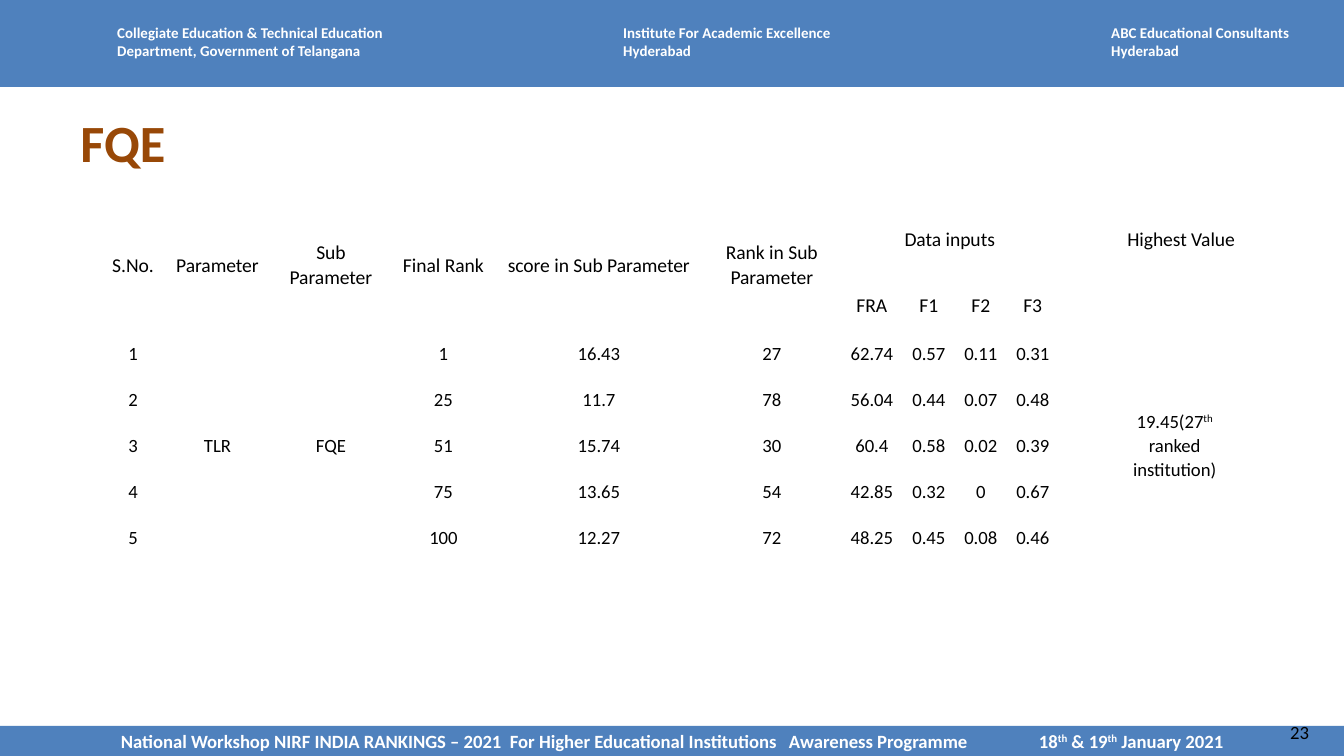
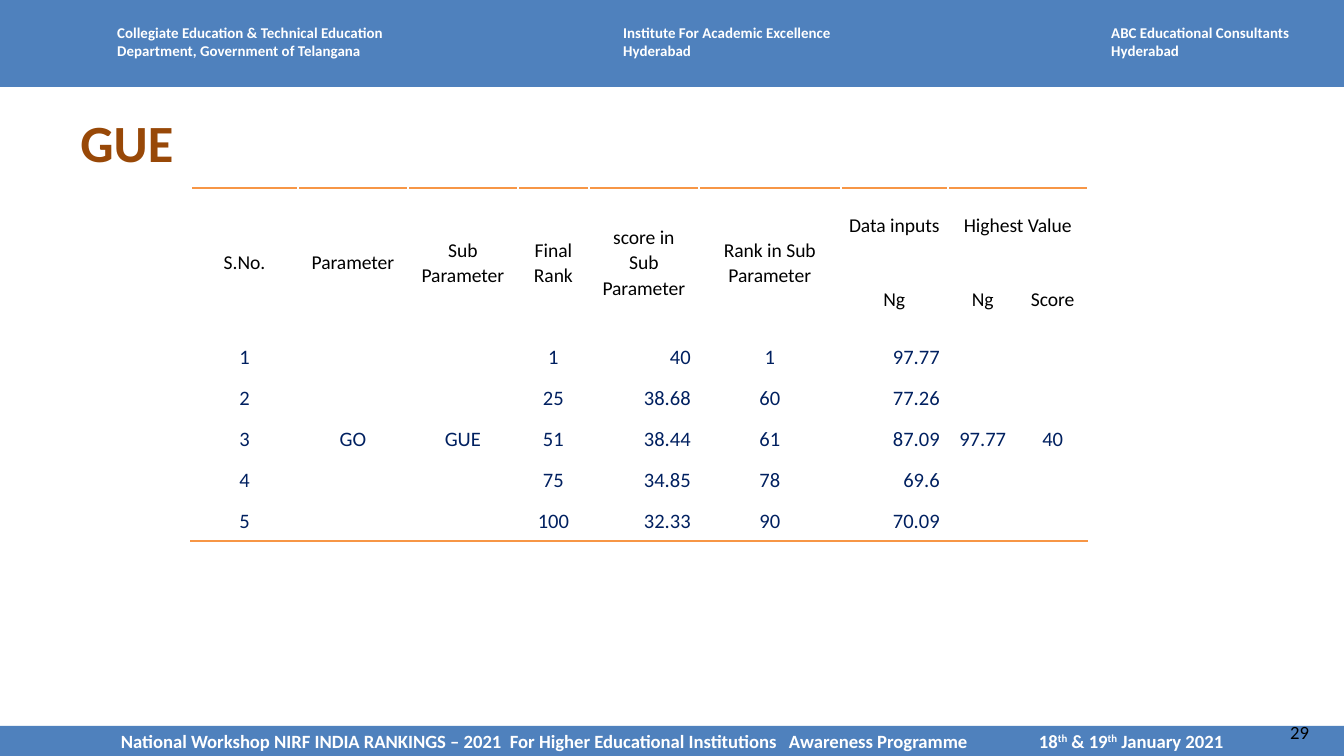
from dataclasses import dataclass

from lxml.etree import SubElement
from pptx import Presentation
from pptx.dml.color import RGBColor
from pptx.enum.shapes import MSO_SHAPE
from pptx.enum.text import MSO_ANCHOR, MSO_AUTO_SIZE, PP_ALIGN
from pptx.oxml.ns import qn
from pptx.util import Emu, Pt


@dataclass(frozen=True)
class Theme:
    font: str = "Calibri"
    band: str = "4F81BD"
    white: str = "FFFFFF"
    title: str = "984807"
    ink: str = "000000"
    navy: str = "002060"
    rule: str = "F79646"
    title_size: float = 28
    header_size: float = 8
    footer_size: float = 10
    table_head_size: float = 10.5


THEME = Theme()
EMU_PER_PX = 914400 / 134.4
WIDTH, HEIGHT = 1344, 756


def px(*lengths):
    """Turn px lengths into a list of EMU lengths."""
    return [Emu(round(length * EMU_PER_PX)) for length in lengths]


def write(frame, text, size, color, bold=False, align=PP_ALIGN.LEFT, spacing=None):
    """Fill a frame: newlines split paragraphs, ^marks^ enclose superscripts."""
    for index, line in enumerate(text.split("\n")):
        para = frame.add_paragraph() if index else frame.paragraphs[0]
        para.alignment = align
        if spacing:
            para.line_spacing = spacing
        for part, words in enumerate(line.split("^")):
            span = para.add_run()
            span.text = words
            span.font.name = THEME.font
            span.font.size = Pt(size)
            span.font.bold = bold
            span.font.color.rgb = RGBColor.from_string(color)
            if part % 2:
                span.font._element.set("baseline", "30000")


HEADERS = [
    (104, 304, "Collegiate Education & Technical Education\nDepartment, Government of Telangana"),
    (610, 250, "Institute For Academic Excellence\nHyderabad"),
    (1098, 224, "ABC Educational Consultants\nHyderabad"),
]
FOOTER = ("National Workshop NIRF INDIA RANKINGS – 2021\tFor Higher Educational Institutions"
          "\tAwareness Programme\t18^th^ & 19^th^ January 2021")
FOOTER_LEFT = 121
FOOTER_TABS = [510, 789, 1039]

COMMON_HEADS = ["S.No.", "Parameter", "Sub Parameter", "Final Rank",
                "score in Sub Parameter", "Rank in Sub\nParameter"]
HEAD_SPANS = [(0, column, 2, 1) for column in range(len(COMMON_HEADS))]

SLIDES = [
    {
        "title": "FQE", "number": "23", "left": 101, "top": 199,
        "columns": [64, 105, 122, 103, 208, 138, 62, 52, 52, 52, 26, 23, 134, 23, 39],
        "heights": [81] + [46] * 6,
        "body_size": 10, "body_color": THEME.ink, "right_columns": [], "ruled": False,
        "spans": HEAD_SPANS + [(0, 6, 1, 4), (0, 10, 1, 5)]
                 + [(2, column, 5, 1) for column in (1, 2, 10, 11, 12, 13, 14)],
        "rows": [
            COMMON_HEADS + ["Data inputs", "", "", "", "Highest Value"],
            [""] * 6 + ["FRA", "F1", "F2", "F3"],
            ["1", "TLR", "FQE", "1", "16.43", "27", "62.74", "0.57", "0.11", "0.31",
             "", "", "19.45(27^th^ ranked institution)"],
            ["2", "", "", "25", "11.7", "78", "56.04", "0.44", "0.07", "0.48"],
            ["3", "", "", "51", "15.74", "30", "60.4", "0.58", "0.02", "0.39"],
            ["4", "", "", "75", "13.65", "54", "42.85", "0.32", "0", "0.67"],
            ["5", "", "", "100", "12.27", "72", "48.25", "0.45", "0.08", "0.46"],
        ],
    },
    {
        "title": "GUE", "number": "29", "left": 191, "top": 188,
        "columns": [107, 110, 110, 71, 110, 142, 107, 70, 70],
        "heights": [73] + [41] * 6,
        "body_size": 11, "body_color": THEME.navy, "right_columns": [4, 6], "ruled": True,
        "spans": HEAD_SPANS + [(0, 7, 1, 2)]
                 + [(2, column, 5, 1) for column in (1, 2, 7, 8)],
        "rows": [
            COMMON_HEADS + ["Data inputs", "Highest Value"],
            [""] * 6 + ["Ng", "Ng", "Score"],
            ["1", "GO", "GUE", "1", "40", "1", "97.77", "97.77", "40"],
            ["2", "", "", "25", "38.68", "60", "77.26"],
            ["3", "", "", "51", "38.44", "61", "87.09"],
            ["4", "", "", "75", "34.85", "78", "69.6"],
            ["5", "", "", "100", "32.33", "90", "70.09"],
        ],
    },
]

deck = Presentation()
deck.slide_width, deck.slide_height = px(WIDTH, HEIGHT)
layout = deck.slide_layouts[5]
for holder in list(layout.placeholders):
    if holder.placeholder_format.idx:
        layout.shapes.element.remove(holder.element)
pages = [deck.slides.add_slide(layout) for _ in SLIDES]

# Bands and their texts are drawn once, then handed to the shared layout.
shared = []
for top, height in [(0, 87), (726, 30)]:
    band = pages[0].shapes.add_shape(MSO_SHAPE.RECTANGLE, *px(0, top, WIDTH, height))
    band.shadow.inherit = False
    band.fill.solid()
    band.fill.fore_color.rgb = RGBColor.from_string(THEME.band)
    band.line.fill.background()
    shared.append(band)

footer = shared[-1].text_frame
footer.margin_left, footer.margin_right, footer.margin_top, footer.margin_bottom = px(FOOTER_LEFT, 0, 0, 0)
footer.vertical_anchor = MSO_ANCHOR.MIDDLE
tabs = SubElement(footer.paragraphs[0]._p.get_or_add_pPr(), qn("a:tabLst"))
for stop in px(*[position - FOOTER_LEFT for position in FOOTER_TABS]):
    SubElement(tabs, qn("a:tab"), pos=str(int(stop)), algn="l")
write(footer, FOOTER, THEME.footer_size, THEME.white, bold=True)

for left, width, text in HEADERS:
    box = pages[0].shapes.add_textbox(*px(left, 17, width, 50))
    box.text_frame.word_wrap = True
    write(box.text_frame, text, THEME.header_size, THEME.white, bold=True)
    shared.append(box)
for shape in shared:
    layout.shapes.element.append(shape.element)

for page, content in zip(pages, SLIDES):
    title = page.shapes.title
    title.left, title.top, title.width, title.height = px(67, 103, 1210, 62)
    title.text_frame.vertical_anchor = MSO_ANCHOR.TOP
    title.text_frame.auto_size = MSO_AUTO_SIZE.NONE
    write(title.text_frame, content["title"], THEME.title_size, THEME.title, bold=True)

    number = page.shapes.add_textbox(*px(1277, 714, 67, 36))
    number.text_frame.word_wrap = True
    write(number.text_frame, content["number"], THEME.footer_size, THEME.ink)

    columns, heights, rows = content["columns"], content["heights"], content["rows"]
    table = page.shapes.add_table(
        len(heights), len(columns),
        *px(content["left"], content["top"], sum(columns), sum(heights))).table
    table.first_row = table.horz_banding = False
    for column, width in zip(table.columns, px(*columns)):
        column.width = width
    for row, height in zip(table.rows, px(*heights)):
        row.height = height
    for row, column, tall, wide in content["spans"]:
        table.cell(row, column).merge(table.cell(row + tall - 1, column + wide - 1))

    for row in range(len(heights)):
        for column in range(len(columns)):
            cell = table.cell(row, column)
            cell.fill.background()
            cell.vertical_anchor = MSO_ANCHOR.MIDDLE
            cell.margin_left, cell.margin_right, cell.margin_top, cell.margin_bottom = px(8, 8, 0, 0)

            text = rows[row][column] if column < len(rows[row]) else ""
            is_head = row < 2
            if text:
                is_right = not is_head and column in content["right_columns"]
                write(cell.text_frame, text,
                      THEME.table_head_size if is_head else content["body_size"],
                      THEME.ink if is_head else content["body_color"],
                      align=PP_ALIGN.RIGHT if is_right else PP_ALIGN.CENTER, spacing=1.07)

            last_row = row + (cell.span_height if cell.is_merge_origin else 1)
            edge = "a:lnT" if row == 0 else "a:lnB" if last_row == len(heights) else None
            if content["ruled"] and edge:
                properties = cell._tc.get_or_add_tcPr()
                line = SubElement(properties, qn(edge), w=str(int(Pt(1))))
                SubElement(SubElement(line, qn("a:solidFill")), qn("a:srgbClr"), val=THEME.rule)
                properties.insert(0, line)

deck.save("out.pptx")
